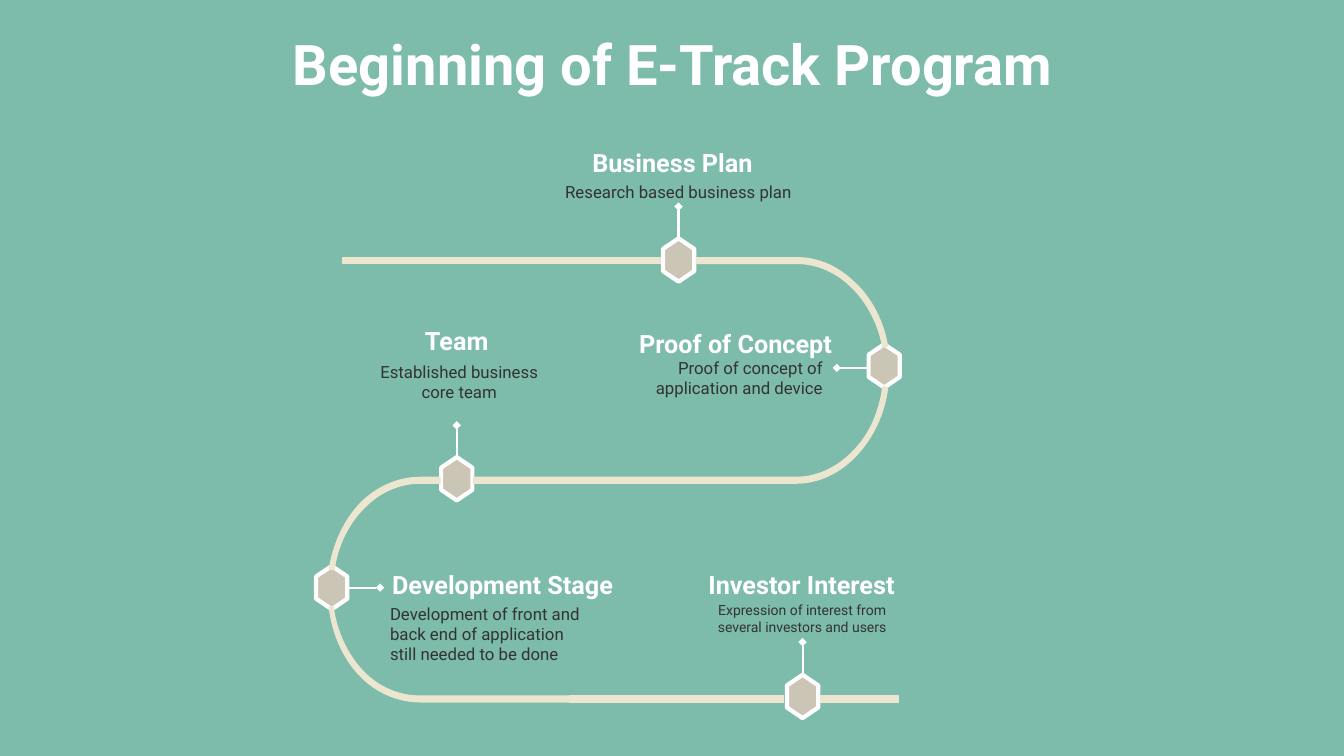
from lxml import etree
from pptx import Presentation
from pptx.dml.color import RGBColor
from pptx.enum.shapes import MSO_CONNECTOR
from pptx.enum.text import MSO_ANCHOR, MSO_AUTO_SIZE, PP_ALIGN
from pptx.oxml.ns import qn
from pptx.util import Inches, Pt

GREEN = RGBColor(0x7D, 0xBB, 0xAA)
CREAM = RGBColor(0xEC, 0xE5, 0xD0)
STONE = RGBColor(0xCB, 0xC5, 0xB5)
WHITE = RGBColor(0xFF, 0xFF, 0xFF)
CHARCOAL = RGBColor(0x33, 0x33, 0x33)
FONT = "Roboto"
CENTER, LEFT, RIGHT = PP_ALIGN.CENTER, PP_ALIGN.LEFT, PP_ALIGN.RIGHT

TITLE = "Beginning of E-Track Program"
MILESTONES = [
    {"heading": ("Business Plan", (5.54, 1.4, 2.26, 0.53), CENTER),
     "detail": ("Research based business plan", (5.5, 1.7, 2.46, 0.38), CENTER, 12),
     "marker": (6.73, 2.58), "stem": (6.73, 2.05, 6.73, 2.37), "diamond": "headEnd"},
    {"heading": ("Proof of Concept", (6.17, 3.19, 2.18, 0.53), RIGHT),
     "detail": ("Proof of concept of application and device",
                (6.26, 3.45, 2, 0.56), RIGHT, 12),
     "marker": (8.77, 3.63), "stem": (8.62, 3.65, 8.3, 3.65), "diamond": "tailEnd"},
    {"heading": ("Team", (3.96, 3.16, 1.14, 0.44), CENTER),
     "detail": ("Established business core team", (3.6, 3.49, 1.91, 0.52), CENTER, 12),
     "marker": (4.53, 4.75), "stem": (4.53, 4.22, 4.53, 4.54), "diamond": "headEnd"},
    {"heading": ("Development Stage", (3.77, 5.58, 2.43, 0.39), CENTER),
     "detail": ("Development of front and back end of application still needed to be done",
                (3.77, 5.89, 2.14, 0.68), LEFT, 12),
     "marker": (3.29, 5.83), "stem": (3.77, 5.83, 3.45, 5.83), "diamond": "headEnd"},
    {"heading": ("Investor Interest", (6.91, 5.58, 2.08, 0.39), CENTER),
     "detail": ("Expression of interest from several investors and users",
                (6.99, 5.87, 1.93, 0.36), CENTER, 10),
     "marker": (7.96, 6.91), "stem": (7.96, 6.37, 7.96, 6.69), "diamond": "headEnd"},
]

BAND = 0.07
STRAIGHTS = [(6.99, 6.9, 7.78), (5.64, 6.9, 7.02), (3.39, 2.55, 6.56), (8.13, 6.9, 8.92)]
BENDS = [
    [(3.31, 6.01), (3.26, 6.02), (3.29, 6.29, 3.4, 6.53, 3.56, 6.7),
     (3.72, 6.87, 3.94, 6.97, 4.17, 6.97), (6.09, 6.97), (6.09, 6.9), (4.17, 6.9),
     (3.95, 6.9, 3.75, 6.81, 3.6, 6.65), (3.45, 6.49, 3.34, 6.26, 3.31, 6.01)],
    [(4.17, 4.73), (3.94, 4.73, 3.73, 4.83, 3.57, 4.99),
     (3.41, 5.16, 3.3, 5.39, 3.26, 5.65), (3.32, 5.66),
     (3.35, 5.42, 3.46, 5.2, 3.61, 5.05), (3.76, 4.89, 3.96, 4.8, 4.17, 4.8),
     (4.37, 4.8), (4.37, 4.73)],
    [(8.75, 3.83), (8.72, 4.08, 8.62, 4.31, 8.46, 4.47),
     (8.31, 4.63, 8.11, 4.73, 7.89, 4.73), (4.69, 4.73), (4.69, 4.8), (7.89, 4.8),
     (8.13, 4.8, 8.34, 4.69, 8.5, 4.52), (8.66, 4.35, 8.78, 4.11, 8.81, 3.84)],
    [(6.9, 2.55), (6.9, 2.62), (7.9, 2.62),
     (8.11, 2.62, 8.3, 2.71, 8.45, 2.86), (8.6, 3.01, 8.71, 3.22, 8.75, 3.45),
     (8.81, 3.44), (8.77, 3.19, 8.65, 2.96, 8.49, 2.81),
     (8.33, 2.65, 8.13, 2.55, 7.9, 2.55)],
]


def add_outline(slide, steps, fill):
    """Add a closed shape; a step of six numbers is a cubic curve."""
    corners = [(Inches(step[-2]), Inches(step[-1])) for step in steps]
    builder = slide.shapes.build_freeform(*corners[0])
    builder.add_line_segments(corners[1:], close=True)
    shape = builder.convert_to_shape()
    segments = list(next(shape._element.iter(qn("a:path"))))
    for step, segment in zip(steps, segments):
        if len(step) == 6:
            segment.tag
            curve = etree.Element(qn("a:cubicBezTo"))
            for x, y in zip(step[::2], step[1::2]):
                etree.SubElement(curve, qn("a:pt"), x=str(Inches(x) - shape.left),
                                 y=str(Inches(y) - shape.top))
            segment.getparent().replace(segment, curve)
    shape.shadow.inherit = False
    shape.fill.solid()
    shape.fill.fore_color.rgb = fill
    shape.line.fill.background()
    return shape


def add_marker(slide, x, y):
    """Add an upright hexagon centred on the point."""
    offsets = [(-0.11, 0.155), (-0.215, 0), (-0.11, -0.155),
               (0.11, -0.155), (0.215, 0), (0.11, 0.155)]
    marker = add_outline(slide, [(x + dx, y + dy) for dx, dy in offsets], STONE)
    marker.rotation = 90
    marker.line.color.rgb = WHITE
    marker.line.width = Pt(3)


def add_stem(slide, ends, diamond):
    """Add a white line with a diamond at one end."""
    stem = slide.shapes.add_connector(MSO_CONNECTOR.STRAIGHT, *map(Inches, ends))
    stem.line.color.rgb = WHITE
    stem.line.width = Pt(1.5)
    etree.SubElement(stem.line._get_or_add_ln(), qn(f"a:{diamond}"), type="diamond")
    etree.SubElement(stem._element.spPr, qn("a:effectLst"))


def write(shape, text, size, color, bold, align, inset):
    """Fill the shape with one formatted paragraph."""
    frame = shape.text_frame
    frame.word_wrap = True
    frame.auto_size = MSO_AUTO_SIZE.NONE
    frame.margin_left = frame.margin_right = Inches(0.1)
    frame.margin_top = frame.margin_bottom = Inches(inset)
    paragraph = frame.paragraphs[0]
    paragraph.alignment = align
    run = paragraph.add_run()
    run.text = text
    run.font.name = FONT
    run.font.size = Pt(size)
    run.font.bold = bold
    run.font.color.rgb = color
    return paragraph


def main():
    """Build the roadmap slide and save it."""
    presentation = Presentation()
    presentation.slide_width, presentation.slide_height = Inches(13.33), Inches(7.5)
    slide = presentation.slides.add_slide(presentation.slide_layouts[5])
    slide.background.fill.solid()
    slide.background.fill.fore_color.rgb = GREEN

    title = slide.shapes.title
    title.left, title.top, title.width, title.height = map(Inches, (0.84, 0.35, 11.66, 0.56))
    write(title, TITLE, 40, WHITE, True, CENTER, 0.05)
    title.text_frame.vertical_anchor = MSO_ANCHOR.MIDDLE

    for milestone in MILESTONES:
        add_marker(slide, *milestone["marker"])
        add_stem(slide, milestone["stem"], milestone["diamond"])

    for left, top, right in STRAIGHTS:
        bottom = top + BAND
        add_outline(slide, [(left, top), (left, bottom), (right, bottom), (right, top)], CREAM)
    for bend in BENDS:
        add_outline(slide, bend, CREAM)

    for milestone in MILESTONES:
        text, place, align = milestone["heading"]
        heading = slide.shapes.add_textbox(*map(Inches, place))
        write(heading, text, 18, WHITE, True, align, 0.1).line_spacing = 0.9
        text, place, align, size = milestone["detail"]
        detail = slide.shapes.add_textbox(*map(Inches, place))
        paragraph = write(detail, text, size, CHARCOAL, False, align, 0.1)
        if align == CENTER:
            paragraph.space_after = Pt(16)

    presentation.save("out.pptx")


if __name__ == "__main__":
    main()
